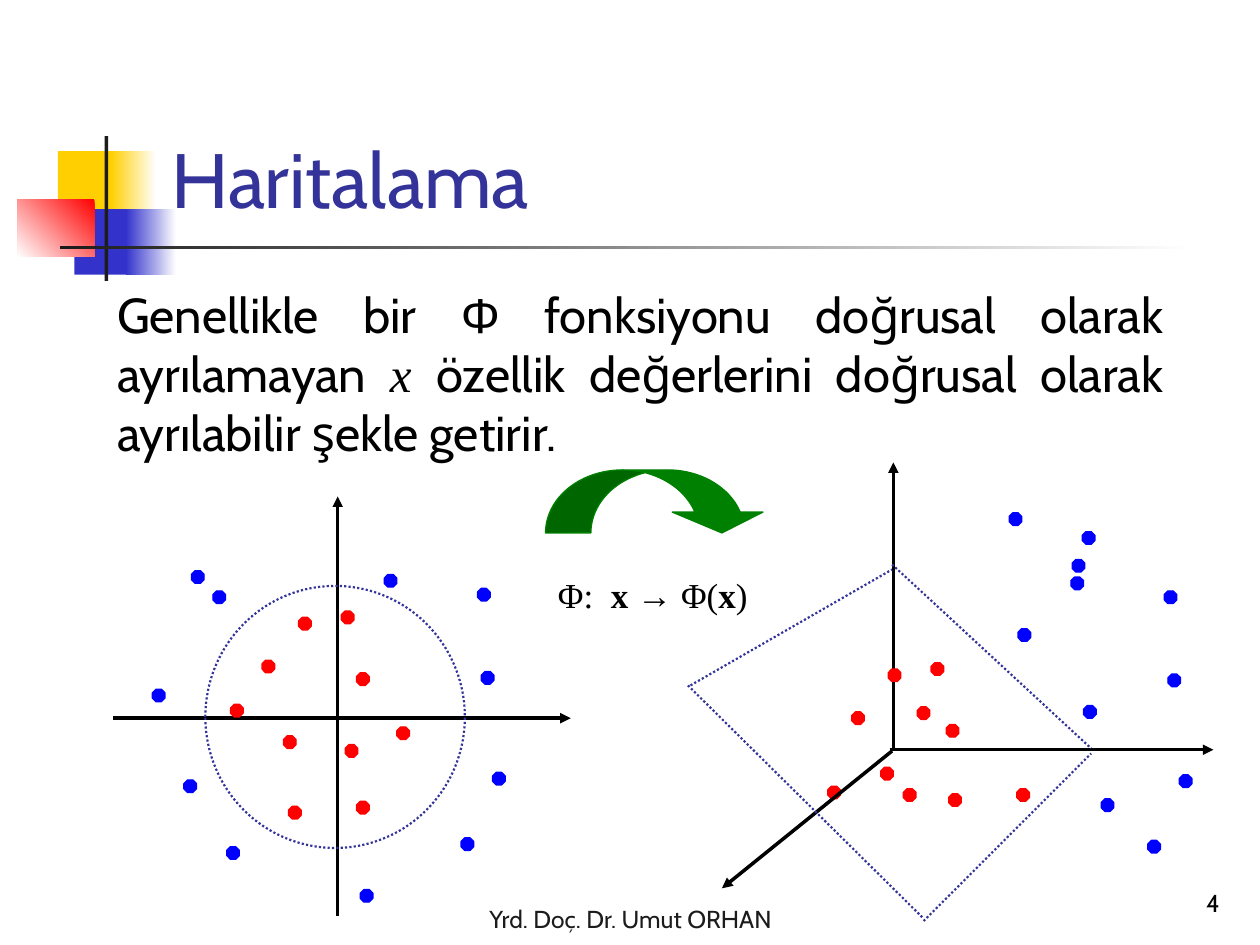
"""Build the Haritalama slide: mapping 2-D points into a separable 3-D space."""
from lxml import etree
from pptx import Presentation
from pptx import util as u
from pptx.dml.color import RGBColor
from pptx.enum import dml, shapes, text
from pptx.oxml import ns

PX = 9144
BLACK = RGBColor(0, 0, 0)
WHITE = RGBColor(255, 255, 255)
CHARCOAL = RGBColor(0x1C, 0x1C, 0x1C)
NAVY = RGBColor(0x33, 0x33, 0x99)
YELLOW = RGBColor(0xFF, 0xCF, 0x01)
INDIGO = RGBColor(0x33, 0x33, 0xCC)
RED = RGBColor(255, 0, 0)
BLUE = RGBColor(0, 0, 255)
GREEN = RGBColor(0, 0x80, 0)
SANS, SERIF, GREEK = "Cabin", "Times New Roman", "Arial"


def add_line(ends, color, width, arrow):
    line = page.shapes.add_connector(shapes.MSO_CONNECTOR.STRAIGHT, *[v * PX for v in ends])
    line.line.color.rgb = color
    line.line.width = u.Pt(width)
    if arrow:
        etree.SubElement(line.line._get_or_add_ln(), ns.qn("a:tailEnd"), type="triangle")
    else:
        line.line.dash_style = dml.MSO_LINE.ROUND_DOT
    etree.SubElement(line._element.spPr, ns.qn("a:effectLst"))


def write(box, spans, size, color, align, anchor):
    frame = box.text_frame
    frame.word_wrap = True
    frame.auto_size = text.MSO_AUTO_SIZE.NONE
    frame.vertical_anchor = anchor
    para = frame.paragraphs[0]
    para.alignment = align
    para.space_before = u.Pt(0)
    for words, face, bold, italic in spans:
        span = para.add_run()
        span.text = words
        span.font.name = face
        span.font.size = u.Pt(size)
        span.font.bold = bold
        span.font.italic = italic
        span.font.color.rgb = color
    return para


deck = Presentation()
deck.slide_width, deck.slide_height = 1000 * PX, 750 * PX
page = deck.slides.add_slide(deck.slide_layouts[1])

ornaments = [
    (46, 120, 48, 52, [YELLOW], 0),
    (88, 120, 36, 52, [WHITE, YELLOW], 180),
    (59, 166, 46, 52, [INDIGO], 0),
    (100, 166, 40, 52, [WHITE, INDIGO], 180),
    (14, 158, 61, 46, [RED, WHITE], 225),
    (83, 108, 3, 115, [CHARCOAL], 0),
    (48, 195, 900, 3, [WHITE, CHARCOAL], 180),
]
for left, top, width, height, colors, angle in ornaments:
    block = page.shapes.add_shape(
        shapes.MSO_SHAPE.RECTANGLE, left * PX, top * PX, width * PX, height * PX)
    block.shadow.inherit = False
    block.line.fill.background()
    if len(colors) == 1:
        block.fill.solid()
        block.fill.fore_color.rgb = colors[0]
    else:
        block.fill.gradient()
        block.fill.gradient_angle = angle
        for stop, color, position in zip(block.fill.gradient_stops, colors, (0, 1)):
            stop.color.rgb = color
            stop.position = position

title = page.shapes.title
title.left, title.top, title.width, title.height = 126 * PX, 23 * PX, 852 * PX, 160 * PX
write(title, [("Haritalama", SANS, False, False)], 44, NAVY,
      text.PP_ALIGN.LEFT, text.MSO_ANCHOR.BOTTOM)

body = page.placeholders[1]
body.left, body.top, body.width, body.height = 83 * PX, 221 * PX, 850 * PX, 477 * PX
para = write(body, [
    ("Genellikle bir ", SANS, False, False),
    ("Φ", GREEK, False, False),
    (" fonksiyonu doğrusal olarak ayrılamayan ", SANS, False, False),
    ("x ", SERIF, False, True),
    ("özellik değerlerini doğrusal olarak ayrılabilir şekle getirir.", SANS, False, False),
], 28, BLACK, text.PP_ALIGN.JUSTIFY, text.MSO_ANCHOR.TOP)
settings = para._p.get_or_add_pPr()
settings.set("marL", "0")
settings.set("indent", "0")
etree.SubElement(settings, ns.qn("a:buNone"))

for axis in [(268, 727, 268, 394), (90, 570, 453, 570),
             (709, 594, 709, 367), (706, 595, 963, 595)]:
    add_line(axis, BLACK, 2, True)

plane_red = [(271, 485), (208, 524), (225, 584), (283, 636), (237, 490),
             (183, 559), (229, 640), (283, 534), (315, 577), (274, 591)]
plane_blue = [(382, 533), (366, 665), (121, 547), (286, 706), (391, 613), (180, 672),
              (146, 619), (152, 453), (305, 456), (169, 469), (379, 467)]
space_red = [(739, 526), (676, 565), (717, 626), (807, 626), (705, 531),
             (728, 561), (753, 630), (751, 575), (699, 609), (657, 624)]
space_blue = [(927, 535), (911, 667), (859, 422), (860, 560), (936, 615), (808, 499),
              (874, 634), (851, 444), (850, 458), (801, 407), (924, 469)]
for color, points in [(RED, plane_red + space_red), (BLUE, plane_blue + space_blue)]:
    for left, top in points:
        dot = page.shapes.add_shape(
            shapes.MSO_SHAPE.OCTAGON, left * PX, top * PX, 10 * PX, 10 * PX)
        dot.shadow.inherit = False
        dot.fill.solid()
        dot.fill.fore_color.rgb = color
        dot.line.color.rgb = color
        dot.line.width = u.Pt(0.75)

circle = page.shapes.add_shape(shapes.MSO_SHAPE.OVAL, 163 * PX, 465 * PX, 206 * PX, 208 * PX)
circle.shadow.inherit = False
circle.fill.background()
circle.line.color.rgb = NAVY
circle.line.width = u.Pt(1.25)
circle.line.dash_style = dml.MSO_LINE.ROUND_DOT

add_line((708, 596, 573, 705), BLACK, 2, True)
for edge in [(708, 448, 866, 594), (733, 731, 866, 598),
             (548, 544, 708, 452), (546, 544, 733, 729)]:
    add_line(edge, NAVY, 1.25, False)

arrow = page.shapes.add_shape(
    shapes.MSO_SHAPE.CURVED_DOWN_ARROW, 433 * PX, 373 * PX, 176 * PX, 50 * PX)
arrow.shadow.inherit = False
for index, value in enumerate((0.72, 1.44, 0.33)):
    arrow.adjustments[index] = value
arrow.fill.solid()
arrow.fill.fore_color.rgb = GREEN
arrow.line.color.rgb = GREEN
arrow.line.width = u.Pt(0.75)

mapping = [("Φ:  ", SERIF, False, False), ("x → ", SERIF, True, False),
           ("Φ(", SERIF, False, False), ("x", SERIF, True, False), (")", SERIF, False, False)]
labels = [
    ((433, 448, 208, 48), mapping, 20, BLACK, text.PP_ALIGN.LEFT, text.MSO_ANCHOR.MIDDLE),
    ((20, 712, 961, 34), [("Yrd. Doç. Dr. Umut ORHAN", SANS, False, False)], 14, CHARCOAL,
     text.PP_ALIGN.CENTER, text.MSO_ANCHOR.BOTTOM),
    ((770, 683, 208, 50), [("4", SANS, False, False)], 14, BLACK,
     text.PP_ALIGN.RIGHT, text.MSO_ANCHOR.BOTTOM),
]
for frame, spans, size, color, align, anchor in labels:
    box = page.shapes.add_textbox(*[v * PX for v in frame])
    write(box, spans, size, color, align, anchor)

deck.save("out.pptx")
